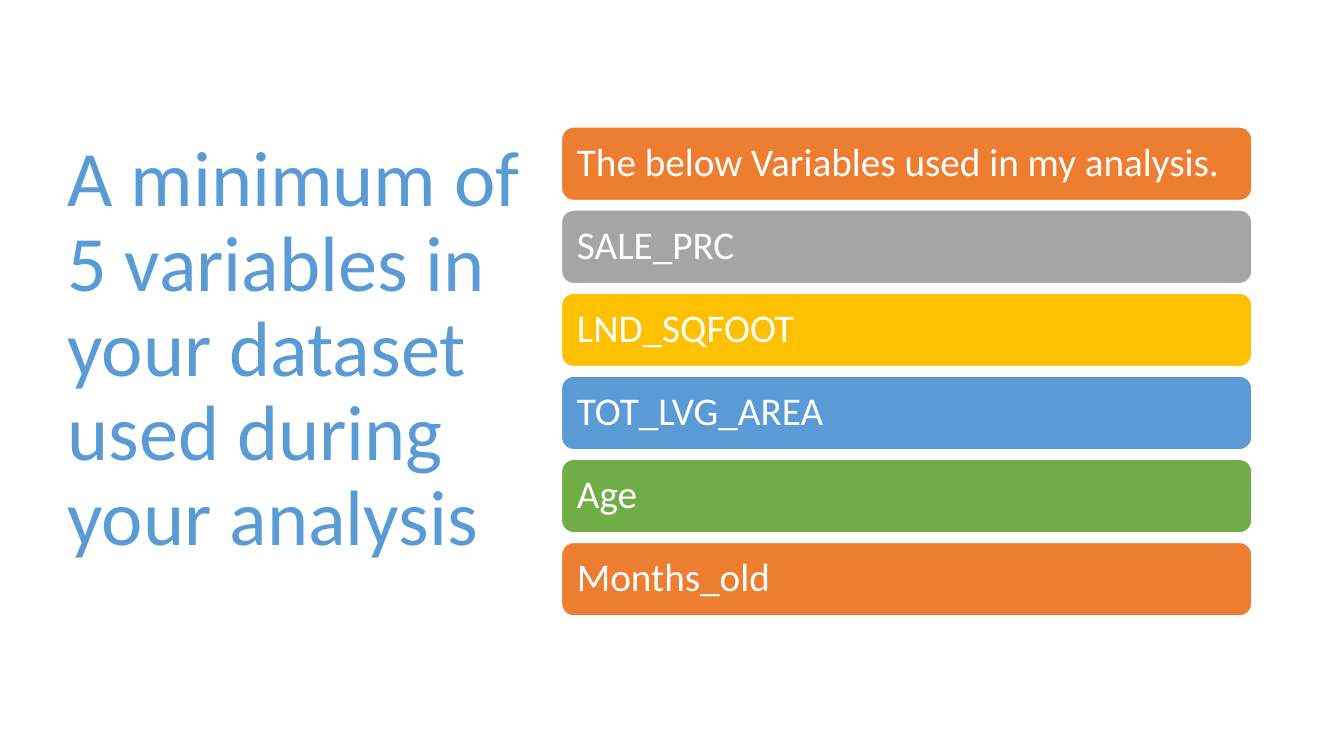
import pptx
import pptx.util
import pptx.dml.color
import pptx.enum.shapes
import pptx.enum.text

Cm, Pt = pptx.util.Cm, pptx.util.Pt
ANCHOR = pptx.enum.text.MSO_ANCHOR
FONT = "Calibri"
WHITE, BLUE, ORANGE = "FFFFFF", "5B9BD5", "ED7D31"
VARIABLES = [
    ("The below Variables used in my analysis.", ORANGE),
    ("SALE_PRC", "A5A5A5"),
    ("LND_SQFOOT", "FFC000"),
    ("TOT_LVG_AREA", BLUE),
    ("Age", "70AD47"),
    ("Months_old", ORANGE),
]


def color(value):
    return pptx.dml.color.RGBColor.from_string(value)


def write(box, text, size, hue):
    """Fill a box with one left-aligned, vertically centred paragraph."""
    frame = box.text_frame
    frame.word_wrap = True
    frame.vertical_anchor = ANCHOR.MIDDLE
    para = frame.paragraphs[0]
    para.text = text
    para.alignment = pptx.enum.text.PP_ALIGN.LEFT
    para.line_spacing = 0.9
    para.font.name = FONT
    para.font.size = Pt(size)
    para.font.color.rgb = color(hue)


def add_title(page, left, top, width, height):
    box = page.shapes.add_textbox(Cm(left), Cm(top), Cm(width), Cm(height))
    write(box, "A minimum of 5 variables in your dataset used during your analysis",
          56, BLUE)


def add_variable_list(page, left, top, width, height, gap=0.24):
    """Stack one bar per variable, evenly spaced over the given height."""
    count = len(VARIABLES)
    bar_height = (height - gap * (count - 1)) / count
    for row, (name, fill) in enumerate(VARIABLES):
        bar = page.shapes.add_shape(
            pptx.enum.shapes.MSO_SHAPE.ROUNDED_RECTANGLE,
            Cm(left), Cm(top + row * (bar_height + gap)), Cm(width), Cm(bar_height))
        bar.shadow.inherit = False
        bar.fill.solid()
        bar.fill.fore_color.rgb = color(fill)
        bar.line.color.rgb = color(WHITE)
        bar.line.width = Pt(1)
        frame = bar.text_frame
        frame.margin_left = frame.margin_right = Cm(0.3)
        frame.margin_top = frame.margin_bottom = Cm(0.3)
        write(bar, name, 28, WHITE)


def main():
    deck = pptx.Presentation()
    deck.slide_width, deck.slide_height = Cm(33.87), Cm(19.05)
    page = deck.slides.add_slide(deck.slide_layouts[6])
    # Title on the left, variables on the right
    add_title(page, 1.45, 1.73, 12.07, 14.22)
    add_variable_list(page, 14.15, 3.2, 17.4, 12.32)
    deck.save("out.pptx")


if __name__ == "__main__":
    main()
